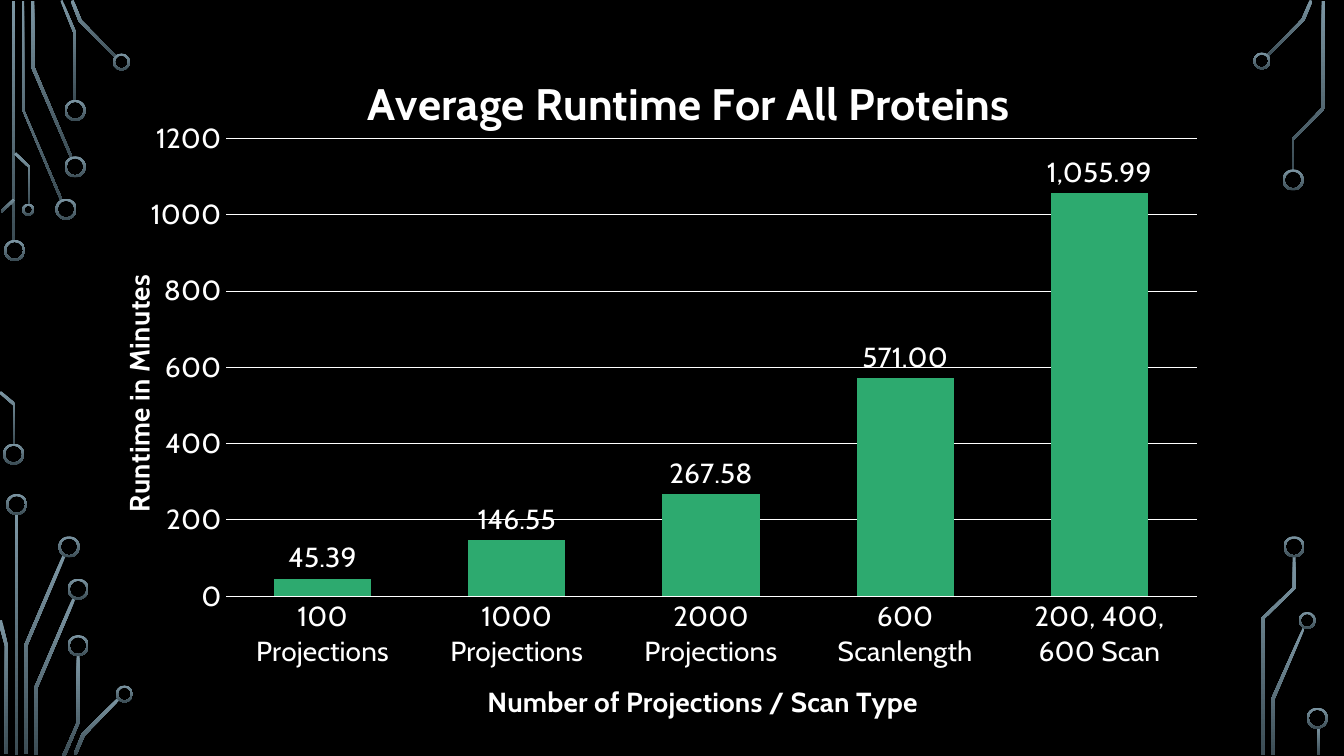
from pptx import Presentation
from pptx.chart.data import CategoryChartData
from pptx.dml.color import RGBColor
from pptx.enum.chart import XL_CHART_TYPE, XL_LABEL_POSITION, XL_TICK_MARK
from pptx.enum.shapes import MSO_SHAPE
from pptx.oxml import parse_xml
from pptx.oxml.ns import nsdecls, qn
from pptx.util import Pt
from dataclasses import dataclass

PX = 9144  # 100 px to the inch


@dataclass(frozen=True)
class Theme:
    background: RGBColor = RGBColor.from_string("000000")
    text: RGBColor = RGBColor.from_string("FFFFFF")
    bar: RGBColor = RGBColor.from_string("2DAA6F")
    circuit_top: RGBColor = RGBColor.from_string("7C96A3")
    circuit_bottom: RGBColor = RGBColor.from_string("3B4C54")
    font: str = "Cabin"
    title_size: int = 32
    body_size: int = 20


theme = Theme()


def write_text(text_frame, text, size=theme.body_size, bold=True, rotation=0):
    text_frame.text = text
    text_frame._txBody.bodyPr.set("rot", str(rotation * 60000))
    font = text_frame.paragraphs[0].runs[0].font
    font.name, font.size, font.bold = theme.font, Pt(size), bold
    font.color.rgb = theme.text


def paint_circuit(shape):
    shape.shadow.inherit = False
    shape.line.fill.background()
    shape.fill.gradient()
    shape.fill.gradient_angle = 270
    colors = (theme.circuit_top, theme.circuit_bottom)
    for stop, color in zip(shape.fill.gradient_stops, colors):
        stop.color.rgb = color


presentation = Presentation()
presentation.slide_width = 1333 * PX
presentation.slide_height = 750 * PX
slide = presentation.slides.add_slide(presentation.slide_layouts[6])
slide.background.fill.solid()
slide.background.fill.fore_color.rgb = theme.background

# Straight circuit lines: left, top, width, height
for bounds in [(12, 1, 3, 239), (15, 510, 3, 239), (1306, 721, 3, 28)]:
    line = slide.shapes.add_shape(MSO_SHAPE.RECTANGLE, *(value * PX for value in bounds))
    paint_circuit(line)

# Bent circuit lines: corner points of each outline
bent_lines = [
    # Top left
    [(60, 199), (22, 109), (22, 1), (24, 1), (24, 109), (62, 198)],
    [(70, 157), (31, 67), (31, 1), (34, 1), (34, 66), (72, 156)],
    [(76, 100), (73, 100), (73, 33), (60, 1), (62, 0), (76, 33)],
    [(115, 58), (78, 21), (70, 1), (73, 0), (81, 20), (116, 56)],
    [(2, 211), (1, 209), (13, 197), (15, 199)],
    [(30, 203), (28, 203), (28, 166), (14, 153), (16, 151), (30, 165)],
    # Bottom left
    [(15, 441), (13, 441), (13, 402), (-1, 390), (1, 388), (15, 400)],
    [(27, 748), (24, 748), (24, 640), (62, 551), (65, 552), (27, 641)],
    [(8, 748), (5, 748), (5, 641), (-2, 616), (2, 615), (8, 641)],
    [(37, 749), (34, 749), (34, 682), (72, 593), (75, 594), (37, 683)],
    [(65, 750), (62, 749), (76, 717), (76, 650), (79, 650), (79, 717)],
    [(76, 749), (73, 748), (81, 728), (117, 692), (119, 694), (84, 730)],
    # Top right
    [(1258, 56), (1256, 55), (1291, 19), (1299, 0), (1302, 1), (1294, 20)],
    [(1283, 169), (1281, 169), (1281, 138), (1311, 107), (1311, 1),
     (1314, 1), (1314, 108), (1283, 139)],
    # Bottom right
    [(1264, 749), (1261, 749), (1261, 693), (1292, 623), (1294, 624), (1264, 694)],
    [(1254, 749), (1251, 749), (1251, 613), (1282, 583), (1282, 552),
     (1285, 552), (1285, 584), (1254, 614)],
]
for start, *corners in bent_lines:
    builder = slide.shapes.build_freeform(*start, scale=PX)
    builder.add_line_segments(corners, close=True)
    paint_circuit(builder.convert_to_shape())

# Circuit rings, grouped by diameter: left, top
RING_THICKNESS = 2
rings = {
    21: [(4, 238), (3, 440), (55, 197), (64, 155), (64, 99), (6, 490), (58, 532),
         (67, 574), (67, 630), (1272, 168), (1273, 532), (1296, 702)],
    17: [(112, 53), (115, 680), (1243, 52), (1288, 607)],
    12: [(22, 202)],
}
for diameter, corners in rings.items():
    for left, top in corners:
        ring = slide.shapes.add_shape(
            MSO_SHAPE.DONUT, left * PX, top * PX, diameter * PX, diameter * PX)
        ring.adjustments[0] = RING_THICKNESS / diameter
        paint_circuit(ring)

# Runtime chart
chart_data = CategoryChartData(number_format="#,##0.00")
chart_data.categories = ["100 Projections", "1000 Projections", "2000 Projections",
                         "600 Scanlength", "200, 400, 600 Scan"]
chart_data.add_series("Series 1", [45.39, 146.55, 267.58, 571, 1055.99])
chart = slide.shapes.add_chart(
    XL_CHART_TYPE.COLUMN_CLUSTERED, 113 * PX, 44 * PX, 1107 * PX, 678 * PX, chart_data).chart
chart.has_legend = False
chart.font.name = theme.font
chart.font.size = Pt(theme.body_size)
chart.font.color.rgb = theme.text

# Bars and their values
plot = chart.plots[0]
plot.gap_width = 100
plot.vary_by_categories = False
bars = plot.series[0]
bars.format.fill.solid()
bars.format.fill.fore_color.rgb = theme.bar
labels = bars.data_labels
labels.show_value = True
labels.number_format = "#,##0.00"
labels.number_format_is_linked = False
labels.position = XL_LABEL_POSITION.OUTSIDE_END
labels.font.name = theme.font
labels.font.size = Pt(theme.body_size)
labels.font.color.rgb = theme.text

# Axes and titles
category_axis, value_axis = chart.category_axis, chart.value_axis
for axis in (category_axis, value_axis):
    axis.major_tick_mark = axis.minor_tick_mark = XL_TICK_MARK.NONE
    axis.format.line.fill.background()
value_axis.minimum_scale, value_axis.maximum_scale = 0, 1200
value_axis.major_unit = 200
value_axis.tick_labels.number_format = "General"
value_axis.tick_labels.number_format_is_linked = False
value_axis.major_gridlines.format.line.width = Pt(0.75)
value_axis.major_gridlines.format.line.color.rgb = theme.text
write_text(chart.chart_title.text_frame, "Average Runtime For All Proteins", size=theme.title_size)
write_text(category_axis.axis_title.text_frame, "Number of Projections / Scan Type")
write_text(value_axis.axis_title.text_frame, "Runtime in Minutes", rotation=-90)

# Places within the chart, as shares of its width and height
plot_area = chart._chartSpace.chart.plotArea
places = [
    (plot_area, 0, {"x": 0.1, "y": 0.14, "w": 0.87, "h": 0.68}),
    (chart.chart_title._element, 1, {"x": 0.22, "y": 0.03}),
    (category_axis.axis_title._element, 1, {"x": 0.33, "y": 0.94}),
    (value_axis.axis_title._element, 1, {"x": 0, "y": 0.34}),
]
for element, position, shares in places:
    for layout in element.findall(qn("c:layout")):
        element.remove(layout)
    target = '<c:layoutTarget val="inner"/>' if element is plot_area else ""
    modes = "".join(f'<c:{key}Mode val="edge"/>' for key in "xy")
    values = "".join(f'<c:{key} val="{share}"/>' for key, share in shares.items())
    element.insert(position, parse_xml(
        f'<c:layout {nsdecls("c")}><c:manualLayout>{target}{modes}{values}'
        "</c:manualLayout></c:layout>"))

presentation.save("out.pptx")
